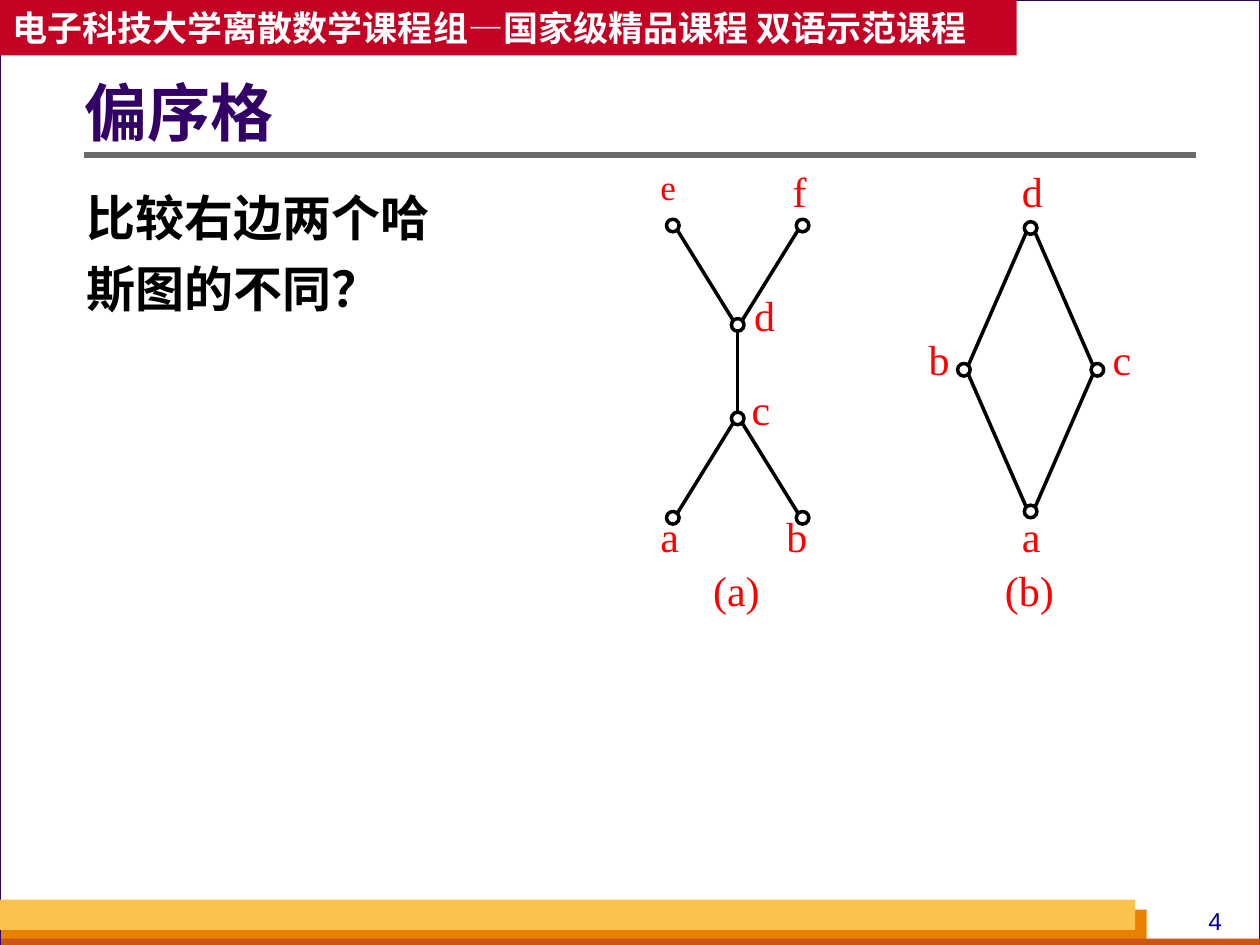
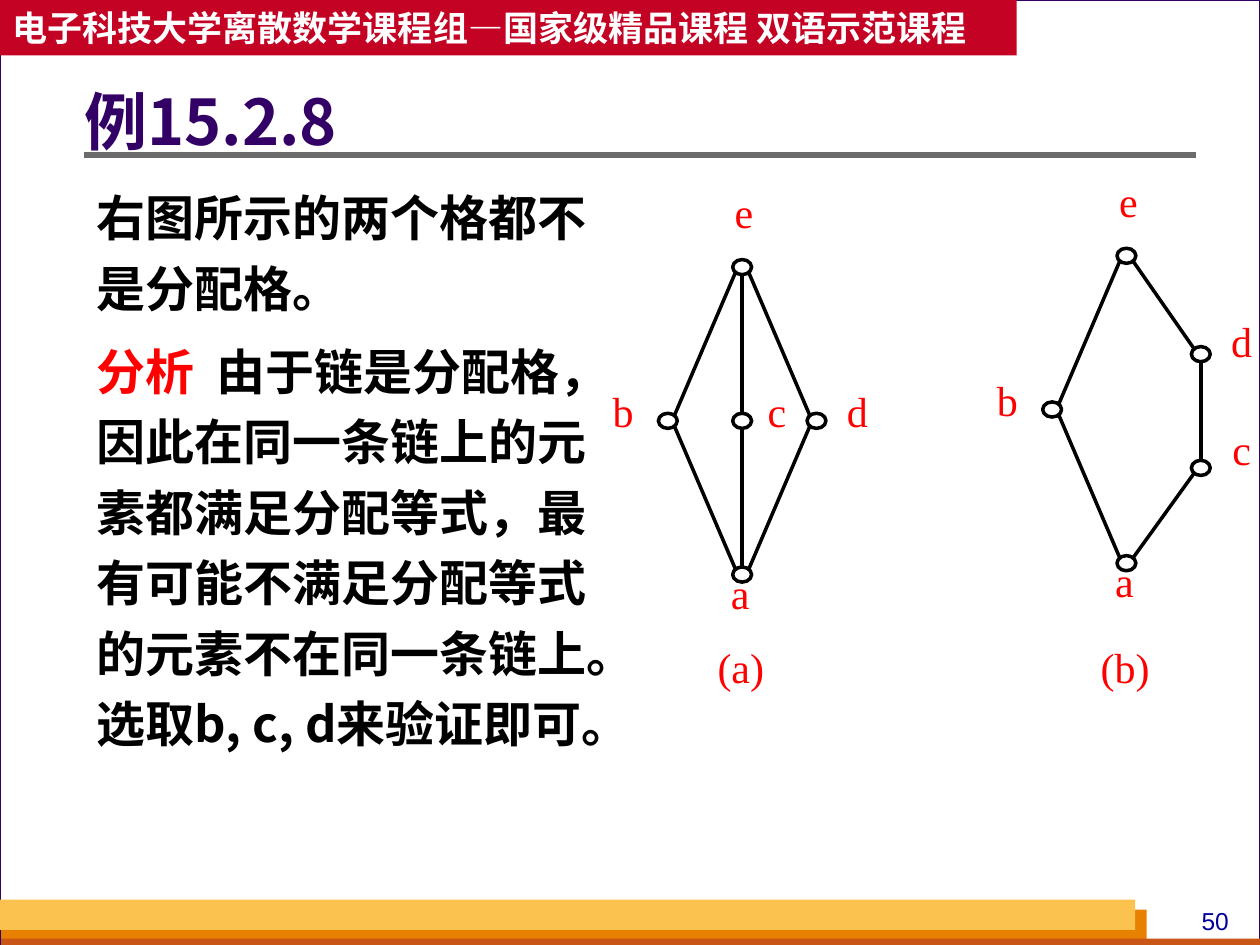
from collections import namedtuple

from lxml.etree import SubElement
from pptx import Presentation
from pptx.dml.color import RGBColor
from pptx.enum.shapes import MSO_CONNECTOR, MSO_SHAPE
from pptx.enum.text import MSO_ANCHOR, MSO_AUTO_SIZE, PP_ALIGN
from pptx.oxml.ns import qn
from pptx.util import Inches, Pt

# The slide is a grid of 10 columns by 7.5 rows, one inch each.
COLUMNS, ROWS = 10, 7.5
TITLE_ONLY_LAYOUT = 5

BLACK = RGBColor(0x00, 0x00, 0x00)
WHITE = RGBColor(0xFF, 0xFF, 0xFF)
RED = RGBColor(0xFF, 0x00, 0x00)
BACKDROP = RGBColor(0xD8, 0xDA, 0xDA)
PURPLE = RGBColor(0x33, 0x00, 0x66)
CRIMSON = RGBColor(0xC3, 0x02, 0x24)
GREY = RGBColor(0x6B, 0x6B, 0x6B)
NAVY = RGBColor(0x00, 0x00, 0x99)
FOOTER_BANDS = [
    ((0.01, 7.22, 9.09, 0.28), RGBColor(0xE8, 0x80, 0x00)),
    ((0.01, 7.45, 10, 0.08), RGBColor(0xC9, 0x56, 0x16)),
    ((0, 7.14, 9.01, 0.24), RGBColor(0xFC, 0xC2, 0x4F)),
]

CHINESE_FONT = "Noto Sans CJK SC"
LABEL_FONT = "Times New Roman"
NUMBER_FONT = "Arial"
HEADER = "电子科技大学离散数学课程组—国家级精品课程 双语示范课程"

# x and y are shares of the diagram's box; shift moves the label's
# top left corner away from the node's centre, in columns and rows.
Node = namedtuple("Node", "x y shift size", defaults=[24])
Style = namedtuple("Style", "node_size label_size align")
Diagram = namedtuple("Diagram", "caption box caption_gap nodes edges")

SMALL_NODES = Style((0.1, 0.1), (0.19, 0.51), PP_ALIGN.LEFT)
WIDE_NODES = Style((0.15, 0.12), (0.29, 0.58), PP_ALIGN.CENTER)

COMPARED_DIAGRAMS = [
    Diagram("(a)", (5.34, 1.79, 1.03, 2.32), 0.37, {
        "e": Node(0, 0, (-0.1, -0.48), 20),
        "f": Node(1, 0, (-0.08, -0.48)),
        "d": Node(0.5, 0.34, (0.13, -0.28)),
        "c": Node(0.5, 0.66, (0.11, -0.28)),
        "a": Node(0, 1, (-0.1, -0.06)),
        "b": Node(1, 1, (-0.13, -0.06)),
    }, "ed fd dc ca cb"),
    Diagram("(b)", (7.65, 1.81, 1.06, 2.25), 0.42, {
        "d": Node(0.5, 0, (-0.07, -0.5)),
        "b": Node(0, 0.5, (-0.28, -0.29)),
        "c": Node(1, 0.5, (0.12, -0.29)),
        "a": Node(0.5, 1, (-0.07, -0.01)),
    }, "db dc ba ca"),
]
NON_DISTRIBUTIVE_DIAGRAMS = [
    Diagram("(a)", (5.3, 2.12, 1.18, 2.44), 0.53, {
        "e": Node(0.5, 0, (-0.13, -0.64)),
        "b": Node(0, 0.5, (-0.5, -0.28)),
        "c": Node(0.5, 0.5, (0.13, -0.28)),
        "d": Node(1, 0.5, (0.18, -0.28)),
        "a": Node(0.5, 1, (-0.16, -0.06)),
    }, "eb ec ed ba ca da"),
    Diagram("(b)", (8.35, 2.03, 1.18, 2.44), 0.62, {
        "e": Node(0.5, 0, (-0.13, -0.64)),
        "b": Node(0, 0.5, (-0.5, -0.28)),
        "d": Node(1, 0.32, (0.18, -0.31)),
        "c": Node(1, 0.69, (0.18, -0.35)),
        "a": Node(0.5, 1, (-0.16, -0.06)),
    }, "eb ed dc ba ca"),
]


def grid(*lengths):
    return [Inches(length) for length in lengths]


def format_runs(paragraph, size, colour, font_name, bold=False):
    for run in paragraph.runs:
        font = run.font
        font.size, font.bold, font.name = Pt(size), bold, font_name
        font.color.rgb = colour
        east_asian = SubElement(run._r.get_or_add_rPr(), qn("a:ea"))
        east_asian.set("typeface", font_name)


def add_filled_shape(shapes, kind, box, fill, line=None, line_width=1):
    shape = shapes.add_shape(kind, *grid(*box))
    shape.shadow.inherit = False
    shape.fill.solid()
    shape.fill.fore_color.rgb = fill
    if line is None:
        shape.line.fill.background()
    else:
        shape.line.color.rgb = line
        shape.line.width = Pt(line_width)
    return shape


def add_line(shapes, start, end, colour, width):
    connector = shapes.add_connector(MSO_CONNECTOR.STRAIGHT, *grid(*start, *end))
    connector.line.color.rgb = colour
    connector.line.width = Pt(width)
    SubElement(connector._element.spPr, qn("a:effectLst"))


def add_label(shapes, box, text, size, colour, font_name, align, inset=0):
    text_frame = shapes.add_textbox(*grid(*box)).text_frame
    text_frame.word_wrap = True
    text_frame.margin_left = text_frame.margin_right = Inches(inset)
    text_frame.margin_top = text_frame.margin_bottom = Inches(inset / 2)
    text_frame.text = text
    paragraph = text_frame.paragraphs[0]
    paragraph.alignment = align
    format_runs(paragraph, size, colour, font_name)


def add_frame(slide, number):
    """Draw the page border, footer bands, page number, rule and header band."""
    background = slide.background.fill
    background.solid()
    background.fore_color.rgb = BACKDROP
    shapes = slide.shapes
    rectangle = MSO_SHAPE.RECTANGLE
    add_filled_shape(shapes, rectangle, (0, 0, COLUMNS, ROWS), WHITE, PURPLE, 0.75)
    for box, colour in FOOTER_BANDS:
        add_filled_shape(shapes, rectangle, box, colour)
    add_label(shapes, (9.33, 7.14, 0.63, 0.34), str(number), 14, NAVY,
              NUMBER_FONT, PP_ALIGN.CENTER, inset=0.1)
    add_line(shapes, (0.67, 1.23), (9.49, 1.23), GREY, 3)

    header = add_filled_shape(shapes, rectangle, (0, 0, 8.07, 0.44), CRIMSON)
    text_frame = header.text_frame
    text_frame.text = HEADER
    text_frame.vertical_anchor = MSO_ANCHOR.MIDDLE
    paragraph = text_frame.paragraphs[0]
    paragraph.alignment = PP_ALIGN.LEFT
    format_runs(paragraph, 20, WHITE, CHINESE_FONT, bold=True)


def format_title(slide, text, top, height):
    title = slide.shapes.title
    title.left, title.top, title.width, title.height = grid(0.67, top, 8.82, height)
    text_frame = title.text_frame
    text_frame.text = text
    text_frame.auto_size = MSO_AUTO_SIZE.NONE
    text_frame.vertical_anchor = MSO_ANCHOR.MIDDLE
    text_frame.margin_left = 0
    paragraph = text_frame.paragraphs[0]
    paragraph.alignment = PP_ALIGN.LEFT
    paragraph.line_spacing = 0.9
    format_runs(paragraph, 36, PURPLE, CHINESE_FONT, bold=True)
    slide.shapes._spTree.append(title._element)  # in front of the frame


def add_body(slide, box, paragraphs):
    """Write paragraphs, each a list of (text, colour) runs."""
    text_frame = slide.shapes.add_textbox(*grid(*box)).text_frame
    text_frame.word_wrap = True
    for index, runs in enumerate(paragraphs):
        paragraph = text_frame.add_paragraph() if index else text_frame.paragraphs[0]
        paragraph.line_spacing = Pt(40.3)
        if index:
            paragraph.space_before = Pt(7)
        for text, _ in runs:
            paragraph.add_run().text = text
        format_runs(paragraph, 28, BLACK, CHINESE_FONT, bold=True)
        for run, (_, colour) in zip(paragraph.runs, runs):
            run.font.color.rgb = colour


def edge_point(centre, target, node_size):
    """Return the point on the node's outline where an edge to target starts."""
    x, y = centre
    radius_x, radius_y = (length / 2 for length in node_size)
    side = (target[0] > x) - (target[0] < x)
    direction = 1 if target[1] > y else -1
    if side == 0:
        return x, y + direction * radius_y
    return x + side * 0.7 * radius_x, y + direction * 0.7 * radius_y


def add_hasse_diagram(slide, diagram, style):
    shapes = slide.shapes.add_group_shape().shapes
    left, top, width, height = diagram.box
    node_width, node_height = style.node_size
    centres = {name: (left + node.x * width, top + node.y * height)
               for name, node in diagram.nodes.items()}

    for upper, lower in diagram.edges.split():
        start, end = centres[upper], centres[lower]
        add_line(shapes, edge_point(start, end, style.node_size),
                 edge_point(end, start, style.node_size), BLACK, 2)

    for name, node in diagram.nodes.items():
        x, y = centres[name]
        node_box = (x - node_width / 2, y - node_height / 2, node_width, node_height)
        add_filled_shape(shapes, MSO_SHAPE.OVAL, node_box, WHITE, BLACK, 2)
        label_box = (x + node.shift[0], y + node.shift[1], *style.label_size)
        add_label(shapes, label_box, name, node.size, RED, LABEL_FONT, style.align)

    caption_width = 0.7
    caption_box = (left + (width - caption_width) / 2 - 0.01,
                   top + height + diagram.caption_gap, caption_width, 0.51)
    add_label(shapes, caption_box, diagram.caption, 24, RED, LABEL_FONT,
              PP_ALIGN.CENTER)


def add_lattice_slide(presentation, number, title, title_rows, body_box,
                      paragraphs, diagrams, style):
    layout = presentation.slide_layouts[TITLE_ONLY_LAYOUT]
    slide = presentation.slides.add_slide(layout)
    add_frame(slide, number)
    format_title(slide, title, *title_rows)
    add_body(slide, body_box, paragraphs)
    for diagram in diagrams:
        add_hasse_diagram(slide, diagram, style)


def main():
    presentation = Presentation()
    presentation.slide_width, presentation.slide_height = grid(COLUMNS, ROWS)
    add_lattice_slide(
        presentation, 4, "偏序格", (0.6, 0.65), (0.59, 1.35, 3.07, 5.36),
        [[("比较右边两个哈斯图的不同？", BLACK)]],
        COMPARED_DIAGRAMS, SMALL_NODES)
    add_lattice_slide(
        presentation, 50, "例15.2.8", (0.52, 0.95), (0.67, 1.35, 4.41, 5.36),
        [[("右图所示的两个格都不是分配格。", BLACK)],
         [("分析", RED),
          ("  由于链是分配格，因此在同一条链上的元素都满足分配等式，"
           "最有可能不满足分配等式的元素不在同一条链上。"
           "选取b, c, d来验证即可。", BLACK)]],
        NON_DISTRIBUTIVE_DIAGRAMS, WIDE_NODES)
    presentation.save("out.pptx")


if __name__ == "__main__":
    main()
